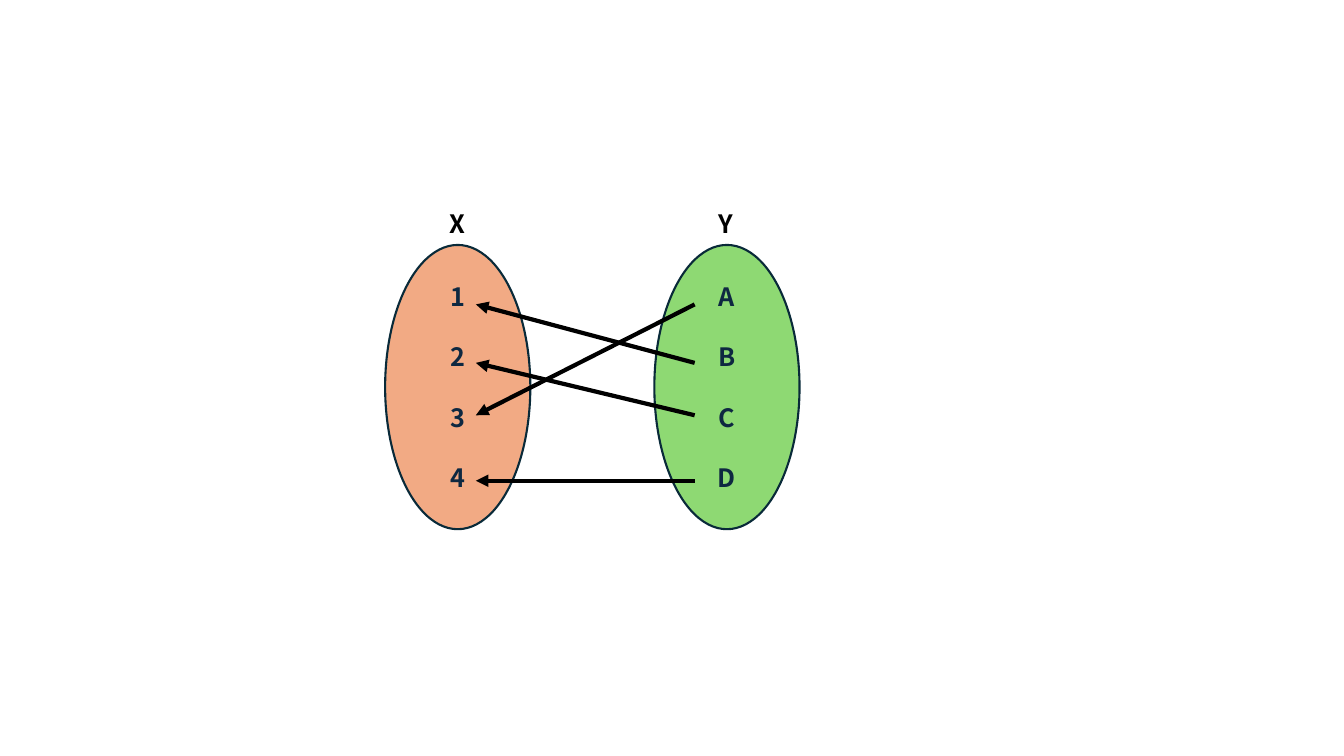
from lxml import etree
from pptx import Presentation
from pptx.dml.color import RGBColor
from pptx.enum.shapes import MSO_CONNECTOR as CONN, MSO_SHAPE as SHAPE
from pptx.enum.text import MSO_ANCHOR as ANCHOR, MSO_AUTO_SIZE as AUTO, PP_ALIGN as ALIGN
from pptx.oxml.ns import qn
from pptx.util import Emu, Pt

PX = 9144  # 100 px to the inch

WHITE = RGBColor(0xFF, 0xFF, 0xFF)
BLACK = RGBColor(0x00, 0x00, 0x00)
NAVY = RGBColor(0x0E, 0x28, 0x41)
OUTLINE = RGBColor(0x09, 0x2A, 0x39)
ORANGE = RGBColor(0xF2, 0xAA, 0x84)
GREEN = RGBColor(0x8E, 0xD9, 0x73)


def px(*values):
    return [Emu(v * PX) for v in values]


class MappingSlide:
    font = "Noto Sans CJK KR"
    size = Pt(18)
    line_height = Pt(21.6)

    def __init__(self, prs):
        self.s = prs.slides.add_slide(prs.slide_layouts[6])
        fill = self.s.background.fill
        fill.solid()
        fill.fore_color.rgb = WHITE

    def style(self, p, color):
        for r in p.runs:
            r.font.name = self.font
            r.font.size = self.size
            r.font.bold = True
            r.font.color.rgb = color

    def oval(self, x, y, w, h, fill, members):
        sp = self.s.shapes.add_shape(SHAPE.OVAL, *px(x, y, w, h))
        sp.shadow.inherit = False
        sp.fill.solid()
        sp.fill.fore_color.rgb = fill
        sp.line.color.rgb = OUTLINE
        sp.line.width = Pt(1.5)
        tf = sp.text_frame
        tf.vertical_anchor = ANCHOR.MIDDLE
        tf.text = "\n".join(members)
        for i, p in enumerate(tf.paragraphs):
            p.alignment = ALIGN.CENTER
            p.line_spacing = self.line_height
            p.space_before = self.line_height if i else Pt(0)
            self.style(p, NAVY)

    def label(self, x, y, w, h, text):
        tf = self.s.shapes.add_textbox(*px(x, y, w, h)).text_frame
        tf.word_wrap = False
        tf.auto_size = AUTO.SHAPE_TO_FIT_TEXT
        tf.text = text
        self.style(tf.paragraphs[0], BLACK)

    def arrow(self, x1, y1, x2, y2):
        c = self.s.shapes.add_connector(CONN.STRAIGHT, *px(x1, y1, x2, y2))
        c.line.color.rgb = BLACK
        c.line.width = Pt(3)
        ln = c.line._get_or_add_ln()
        etree.SubElement(ln, qn("a:tailEnd"), type="triangle")
        etree.SubElement(c._element.spPr, qn("a:effectLst"))


def main():
    prs = Presentation()
    prs.slide_width, prs.slide_height = px(1333, 750)
    slide = MappingSlide(prs)

    # Sets and their names
    sets = [("X", 382, ORANGE, "1234"), ("Y", 649, GREEN, "ABCD")]
    for name, x, fill, members in sets:
        slide.oval(x, 243, 144, 282, fill, members)
    for name, x, fill, members in sets:
        slide.label(x + 54, 202, 37, 40, name)

    # Mapping from Y to X, by row
    rows = [302, 360, 412, 477]
    for start, end in [(0, 2), (1, 0), (2, 1), (3, 3)]:
        slide.arrow(689, rows[start], 472, rows[end])

    prs.save("out.pptx")


if __name__ == "__main__":
    main()
